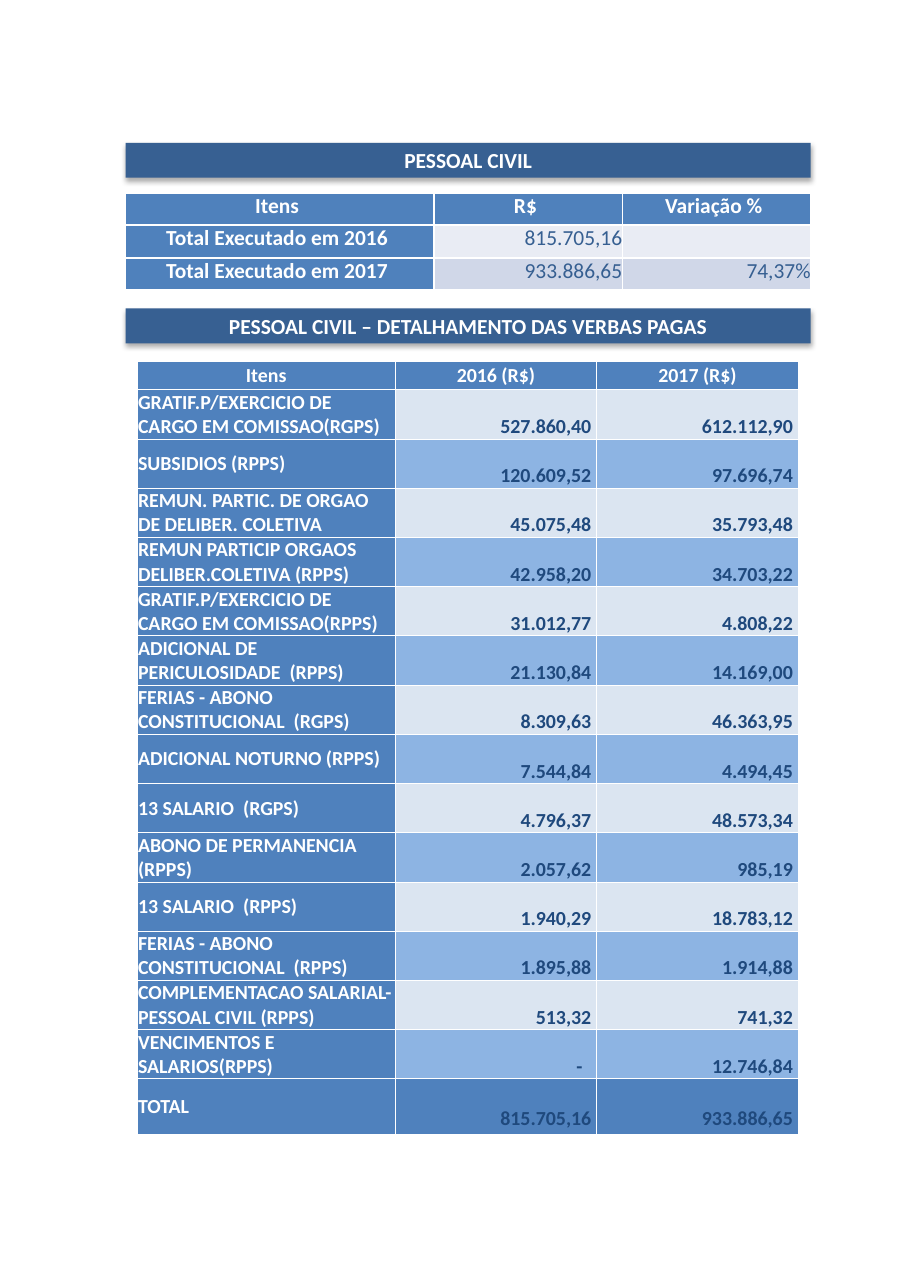
from dataclasses import dataclass

from lxml.etree import SubElement
from pptx import Presentation
from pptx.dml.color import RGBColor
from pptx.enum.shapes import MSO_SHAPE
from pptx.enum.text import MSO_ANCHOR, MSO_AUTO_SIZE, PP_ALIGN
from pptx.oxml.ns import qn
from pptx.util import Emu, Pt

FONT = "Calibri"
WHITE, BAND_BLUE, HEADER_BLUE, ITEM_BLUE = "FFFFFF", "376092", "4F81BC", "4F81BD"
SUMMARY_INK, DETAIL_INK = "365F91", "1F497D"
SUMMARY_STRIPES = ("E9ECF4", "D0D7E8")
DETAIL_STRIPES = ("DBE5F1", "8DB4E3")

SUMMARY_HEADINGS = ("Itens", "R$", "Variação %")
SUMMARY_ROWS = (
    ("Total Executado em 2016", "815.705,16", ""),
    ("Total Executado em 2017", "933.886,65", "74,37%"),
)
DETAIL_HEADINGS = ("Itens", "2016 (R$)", "2017 (R$)")
DETAIL_ROWS = (
    ("GRATIF.P/EXERCICIO DE CARGO EM COMISSAO(RGPS)", "527.860,40", "612.112,90"),
    ("SUBSIDIOS (RPPS)", "120.609,52", "97.696,74"),
    ("REMUN. PARTIC. DE ORGAO DE DELIBER. COLETIVA", "45.075,48", "35.793,48"),
    ("REMUN PARTICIP ORGAOS DELIBER.COLETIVA (RPPS)", "42.958,20", "34.703,22"),
    ("GRATIF.P/EXERCICIO DE CARGO EM COMISSAO(RPPS)", "31.012,77", "4.808,22"),
    ("ADICIONAL DE PERICULOSIDADE  (RPPS)", "21.130,84", "14.169,00"),
    ("FERIAS - ABONO CONSTITUCIONAL  (RGPS)", "8.309,63", "46.363,95"),
    ("ADICIONAL NOTURNO (RPPS)", "7.544,84", "4.494,45"),
    ("13 SALARIO  (RGPS)", "4.796,37", "48.573,34"),
    ("ABONO DE PERMANENCIA (RPPS)", "2.057,62", "985,19"),
    ("13 SALARIO  (RPPS)", "1.940,29", "18.783,12"),
    ("FERIAS - ABONO CONSTITUCIONAL  (RPPS)", "1.895,88", "1.914,88"),
    ("COMPLEMENTACAO SALARIAL- PESSOAL CIVIL (RPPS)", "513,32", "741,32"),
    ("VENCIMENTOS E SALARIOS(RPPS)", "-", "12.746,84"),
    ("TOTAL", "815.705,16", "933.886,65"),
)


@dataclass(frozen=True)
class Box:
    left: int
    top: int
    width: int
    height: int


@dataclass(frozen=True)
class CellStyle:
    """Margins are left, top, right, bottom; borders are left, right, top, bottom."""
    fill: str
    color: str = WHITE
    size: int = 13
    bold: bool = True
    align: PP_ALIGN = PP_ALIGN.CENTER
    anchor: MSO_ANCHOR = MSO_ANCHOR.MIDDLE
    margins: tuple[int, int, int, int] = (2, 2, 2, 0)
    borders: tuple[float, float, float, float] = (0.5, 0.5, 0.5, 0.5)


def px(length: int) -> Emu:
    """Scale of 300 px to the inch."""
    return Emu(length * 3048)


def rgb(color: str) -> RGBColor:
    return RGBColor.from_string(color)


def write(frame, text: str, size: int, color: str, bold: bool, align: PP_ALIGN) -> None:
    para = frame.paragraphs[0]
    para.alignment = align
    span = para.add_run()
    span.text = text
    span.font.name = FONT
    span.font.size = Pt(size)
    span.font.bold = bold
    span.font.color.rgb = rgb(color)


def add_shadow(shape) -> None:
    shape.shadow.inherit = False
    effects = shape.element.spPr.find(qn("a:effectLst"))
    shadow = SubElement(effects, qn("a:outerShdw"), blurRad=str(Pt(3.5)),
                        dist=str(Pt(2.2)), dir="5400000", rotWithShape="0")
    black = SubElement(shadow, qn("a:srgbClr"), val="000000")
    SubElement(black, qn("a:alpha"), val="32000")


def format_band(shape, text: str, box: Box) -> None:
    shape.left, shape.top = px(box.left), px(box.top)
    shape.width, shape.height = px(box.width), px(box.height)
    shape.fill.solid()
    shape.fill.fore_color.rgb = rgb(BAND_BLUE)
    shape.line.fill.background()
    add_shadow(shape)
    frame = shape.text_frame
    frame.word_wrap = True
    frame.auto_size = MSO_AUTO_SIZE.NONE
    frame.vertical_anchor = MSO_ANCHOR.MIDDLE
    write(frame, text, 14, WHITE, True, PP_ALIGN.CENTER)


def fill_cell(cell, text: str, style: CellStyle) -> None:
    properties = cell._tc.get_or_add_tcPr()
    for side, width in zip("LRTB", style.borders):
        line = SubElement(properties, qn(f"a:ln{side}"), w=str(Pt(width)))
        SubElement(SubElement(line, qn("a:solidFill")), qn("a:srgbClr"), val=WHITE)
    cell.fill.solid()
    cell.fill.fore_color.rgb = rgb(style.fill)
    cell.vertical_anchor = style.anchor
    (cell.margin_left, cell.margin_top,
     cell.margin_right, cell.margin_bottom) = map(px, style.margins)
    write(cell.text_frame, text, style.size, style.color, style.bold, style.align)


def add_grid(page, left: int, top: int, widths: list[int], heights: list[int]):
    frame = page.shapes.add_table(len(heights), len(widths), px(left), px(top),
                                  px(sum(widths)), px(sum(heights)))
    table = frame.table
    table.first_row = table.horz_banding = False
    for column, width in zip(table.columns, widths):
        column.width = px(width)
    for row, height in zip(table.rows, heights):
        row.height = px(height)
    return table


def summary_style(row: int, column: int) -> CellStyle:
    thick_top = 1.5 if row == 1 else 1
    thick_bottom = 1.5 if row == 0 else 1
    borders = (1, 1, thick_top, thick_bottom)
    if row == 0 or column == 0:
        return CellStyle(HEADER_BLUE, size=14, anchor=MSO_ANCHOR.TOP,
                         margins=(0, 0, 15, 0), borders=borders)
    return CellStyle(SUMMARY_STRIPES[row - 1], SUMMARY_INK, 14, False, PP_ALIGN.RIGHT,
                     MSO_ANCHOR.TOP, (0, 0, 0, 0), borders)


def detail_style(row: int, column: int, text: str) -> CellStyle:
    if row == 0:
        return CellStyle(ITEM_BLUE)
    if column == 0:
        return CellStyle(ITEM_BLUE, align=PP_ALIGN.LEFT)
    is_total = row == len(DETAIL_ROWS)
    fill = ITEM_BLUE if is_total else DETAIL_STRIPES[(row - 1) % 2]
    margins = (2, 2, 39 if text == "-" else 15, 9 if is_total else 0)
    return CellStyle(fill, DETAIL_INK, align=PP_ALIGN.RIGHT,
                     anchor=MSO_ANCHOR.BOTTOM, margins=margins)


def add_summary(page) -> None:
    table = add_grid(page, 342, 526, [840, 513, 513], [87, 90, 87])
    for row, texts in enumerate((SUMMARY_HEADINGS, *SUMMARY_ROWS)):
        for column, text in enumerate(texts):
            fill_cell(table.cell(row, column), text, summary_style(row, column))


def add_detail(page) -> None:
    heights = [78] + [134] * (len(DETAIL_ROWS) - 1) + [152]
    table = add_grid(page, 374, 983, [702, 549, 549], heights)
    for row, texts in enumerate((DETAIL_HEADINGS, *DETAIL_ROWS)):
        for column, text in enumerate(texts):
            fill_cell(table.cell(row, column), text, detail_style(row, column, text))


def main() -> None:
    deck = Presentation()
    deck.slide_width, deck.slide_height = px(2481), px(3507)
    page = deck.slides.add_slide(deck.slide_layouts.get_by_name("Title Only"))
    format_band(page.shapes.title, "PESSOAL CIVIL", Box(342, 389, 1866, 95))
    detail_band = page.shapes.add_shape(MSO_SHAPE.RECTANGLE, 0, 0, 0, 0)
    format_band(detail_band, "PESSOAL CIVIL – DETALHAMENTO DAS VERBAS PAGAS",
                Box(342, 840, 1866, 95))
    add_summary(page)
    add_detail(page)
    deck.save("out.pptx")


if __name__ == "__main__":
    main()
